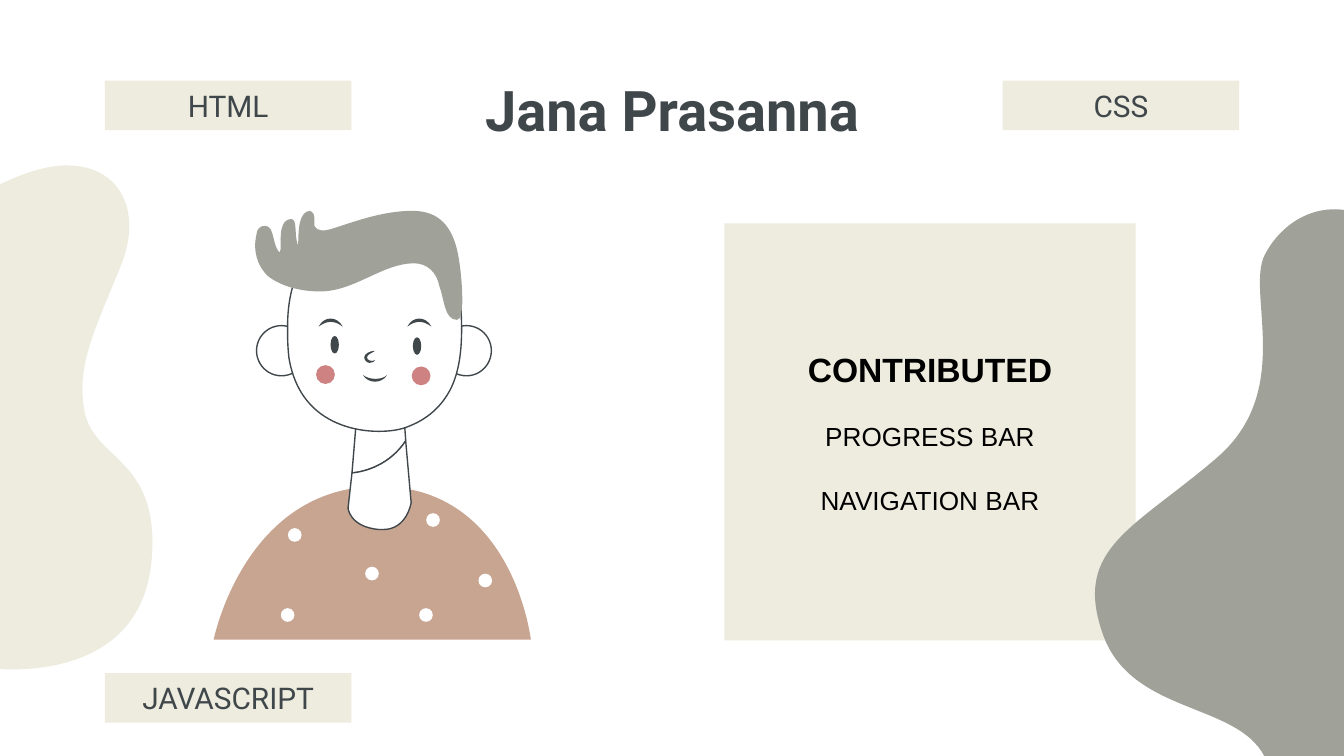
from dataclasses import dataclass
from typing import Optional

from pptx import Presentation
from pptx import util as u
from pptx.dml.color import RGBColor
from pptx.enum import shapes, text
from pptx.oxml import ns, xmlchemy

COLORS = {
    "ink": "40474B",
    "black": "000000",
    "white": "FFFFFF",
    "cream": "EDECDF",
    "sage": "A0A299",
    "clay": "C8A591",
    "blush": "CE8282",
}
OUTLINE_WIDTH = 0.75
INSET = 7.2


@dataclass(frozen=True)
class Line:
    words: str
    size: float
    font: str = "Roboto"
    color: str = "ink"
    bold: bool = False
    space_before: float = 0


@dataclass(frozen=True)
class Box:
    left: float
    top: float
    width: float
    height: float
    lines: tuple[Line, ...]
    fill: Optional[str] = "cream"


@dataclass(frozen=True)
class Ovals:
    width: float
    height: float
    fill: str
    centers: tuple[tuple[float, float], ...]
    outlined: bool = False


@dataclass(frozen=True)
class Outline:
    fill: str
    start: tuple[float, float]
    segments: tuple[tuple[float, ...], ...]
    outlined: bool = False


def rgb(name: str) -> RGBColor:
    return RGBColor.from_string(COLORS[name])


def paint(shape, fill: str, outlined: bool = False) -> None:
    shape.shadow.inherit = False
    shape.fill.solid()
    shape.fill.fore_color.rgb = rgb(fill)
    if outlined:
        shape.line.color.rgb = rgb("ink")
        shape.line.width = u.Pt(OUTLINE_WIDTH)
    else:
        shape.line.fill.background()


def bend_segments(shape, segments: tuple[tuple[float, ...], ...]) -> None:
    geometry = shape.element.find(".//" + ns.qn("a:path"))
    straight = iter(geometry.findall(ns.qn("a:lnTo")))
    for segment in segments:
        group = [next(straight) for _ in range(len(segment) // 2)]
        if len(group) == 3:
            curve = xmlchemy.OxmlElement("a:cubicBezTo")
            group[0].addprevious(curve)
            for line in group:
                curve.append(line[0])
                geometry.remove(line)


def draw_outline(slide, outline: Outline, shift: float = 0) -> None:
    numbers = outline.start + tuple(value for segment in outline.segments for value in segment)
    points = [(u.Pt(x + shift), u.Pt(y)) for x, y in zip(numbers[::2], numbers[1::2])]
    builder = slide.shapes.build_freeform(*points[0], scale=1.0)
    builder.add_line_segments(points[1:], close=True)
    shape = builder.convert_to_shape()
    bend_segments(shape, outline.segments)
    paint(shape, outline.fill, outline.outlined)


def draw_ovals(slide, ovals: Ovals) -> None:
    for x, y in ovals.centers:
        shape = slide.shapes.add_shape(
            shapes.MSO_SHAPE.OVAL, u.Pt(x - ovals.width / 2), u.Pt(y - ovals.height / 2),
            u.Pt(ovals.width), u.Pt(ovals.height))
        paint(shape, ovals.fill, ovals.outlined)


def draw_box(slide, box: Box) -> None:
    place = [u.Pt(value) for value in (box.left, box.top, box.width, box.height)]
    if box.fill:
        shape = slide.shapes.add_shape(shapes.MSO_SHAPE.RECTANGLE, *place)
        paint(shape, box.fill)
    else:
        shape = slide.shapes.add_textbox(*place)
    frame = shape.text_frame
    frame.word_wrap = True
    frame.vertical_anchor = text.MSO_ANCHOR.MIDDLE if box.fill else text.MSO_ANCHOR.BOTTOM
    frame.margin_left = frame.margin_right = u.Pt(INSET)
    frame.margin_top = frame.margin_bottom = u.Pt(INSET)
    for index, line in enumerate(box.lines):
        paragraph = frame.add_paragraph() if index else frame.paragraphs[0]
        paragraph.alignment = text.PP_ALIGN.CENTER
        paragraph.space_before = u.Pt(line.space_before)
        run = paragraph.add_run()
        run.text = line.words
        run.font.size = u.Pt(line.size)
        run.font.name = line.font
        run.font.bold = line.bold
        run.font.color.rgb = rgb(line.color)


SWEATER = Outline("clay", (203, 260.6), (
    (131, 260.6, 114.5, 342.7, 114.5, 342.7), (284.4, 342.7),
    (284.4, 342.7, 275, 260.6, 203, 260.6)))
UPPER_NECK = Outline("white", (215.3, 206.6), (
    (192.2, 210.2), (188.6, 253.4), (195.8, 252.7, 208.8, 249.1, 217.4, 236.2)), True)
FACE = Outline("white", (203.8, 118.8), (
    (194.4, 118.8, 154.1, 122.4, 154.1, 175), (154.1, 182.2, 154.1, 184.3, 154.8, 191.5),
    (157, 205.2, 163.4, 217.4, 176.4, 224.6), (184.3, 229, 193.7, 231.1, 203, 231.1),
    (208.8, 231.1, 214.6, 230.4, 219.6, 228.2), (230.4, 223.9, 238.3, 216, 242.6, 205.9),
    (247.7, 193.7, 247.7, 178.6, 247, 165.6), (244.8, 119.5, 208.1, 118.8, 205.9, 118.8)), True)
LOWER_NECK = Outline("white", (217.4, 236.2), (
    (208.8, 249.1, 195.8, 252.7, 188.6, 253.4), (186.5, 272.2),
    (186.5, 272.2, 187.2, 282.2, 203, 283.7), (205.2, 283.7),
    (218.2, 283.7, 220.3, 269.3, 220.3, 269.3)), True)
NOSE = Outline("ink", (200.9, 187.9), (
    (198, 187.9, 195.1, 189.7, 195.1, 191.5),
    (195.1, 192.9, 196.6, 194.4, 198, 194.4), (199.4, 194.4, 200.9, 193.7, 200.9, 193),
    (199, 193.9, 196.6, 193, 196.6, 191.5), (196.6, 189.8, 199.4, 189.2, 200.9, 187.9)))
MOUTH = Outline("ink", (207.4, 200.9), (
    (204.5, 203.7, 198, 203.7, 194.4, 200.9), (197.3, 205.7, 204.5, 205.7, 207.4, 200.9)))
BROW = Outline("ink", (218.2, 175), (
    (221, 169.2, 228.2, 169.2, 231.1, 175), (226.8, 171.6, 222.5, 171.6, 218.2, 175)))
CREAM_BLOB = Outline("cream", (6.5, 358.6), (
    (32.4, 358.6, 77.8, 350.6, 81.4, 298.1), (85, 245.5, 51.1, 247, 45.4, 221),
    (40.3, 195.1, 51.8, 175, 65.5, 140.4), (78.5, 105.8, 56.9, 79.9, 18.7, 91.4),
    (-20.2, 103, -73.4, 145.4, -69.1, 185.8), (-65.5, 226.1, -64.1, 275, -65.5, 304.6),
    (-67, 334.1, -20.2, 359.3, 6.5, 358.6)))
SAGE_BLOB = Outline("sage", (677.5, 136.8), (
    (667.4, 157, 694.1, 210.2, 650.9, 246.2), (607.7, 283, 575.3, 293.8, 590.4, 338.4),
    (604.8, 383, 662.4, 375.8, 677.5, 405.4), (692.6, 434.2, 780.5, 483.1, 797, 378),
    (812.9, 272.2, 789.8, 164.2, 753.8, 130.3), (717.1, 96.5, 687.6, 116.6, 677.5, 136.8)))
HAIR = Outline("sage", (221, 113), (
    (206, 113, 192, 118, 178.6, 122.4), (174, 123.8, 170.5, 124.5, 168.5, 121),
    (168, 118, 169.5, 114.5, 166.3, 113), (160, 113, 159.8, 124, 159.8, 131.8),
    (157.5, 127, 159.5, 117.4, 156.2, 117.4), (151.5, 117.4, 150.5, 123, 150.5, 126),
    (149.8, 128.9, 151.2, 133.2, 149.8, 135.4), (145.5, 131, 147.5, 121, 141.8, 121),
    (139.5, 121, 137.5, 123, 137.5, 125.3), (135.4, 133.9, 137.5, 142.6, 144, 148.3),
    (151, 153.5, 161, 156.2, 171.4, 156.2), (190, 156.2, 205, 141.1, 221.8, 141.1),
    (229, 141.1, 234, 146, 235.4, 153.4), (238, 160, 238, 171.4, 244.8, 171.4),
    (247.7, 171.4, 247, 164.9, 247.7, 162.7), (247.7, 154.1, 247, 145.4, 245.5, 136.8),
    (242.5, 121, 235, 113, 221, 113)))

EARS = Ovals(26.7, 26.9, "white", ((150.8, 187.9), (249.9, 187.9)), True)
EYES = Ovals(4.5, 9.4, "ink", ((179.3, 184.7), (223.4, 185.4)))
CHEEKS = Ovals(10.1, 10.1, "blush", ((174.4, 200.7), (225.6, 201.4)))
DOTS = Ovals(7.3, 7.3, "white", (
    (154.1, 329.5), (157.9, 286.6), (228.2, 329.5), (199.3, 307.3), (232, 278.6), (260, 311)))

TITLE = Box(56.2, 41, 607.7, 42.5, (Line("Jana Prasanna", 30, bold=True),), None)
HTML = Box(56.2, 43.2, 132.1, 26.6, (Line("HTML", 16),))
CSS = Box(537.2, 43.2, 126.7, 26.6, (Line("CSS", 16),))
JAVASCRIPT = Box(56.2, 360.6, 132.1, 26.6, (Line("JAVASCRIPT", 16),))
CONTRIBUTIONS = Box(388.1, 119.7, 220.3, 223.4, (
    Line("CONTRIBUTED", 18, "Arial", "black", True),
    Line("PROGRESS BAR", 14, "Arial", "black", space_before=17),
    Line("NAVIGATION BAR", 14, "Arial", "black", space_before=17)))


def main() -> None:
    presentation = Presentation()
    presentation.slide_width, presentation.slide_height = u.Pt(720), u.Pt(405)
    slide = presentation.slides.add_slide(presentation.slide_layouts[6])
    draw_outline(slide, SWEATER)
    draw_ovals(slide, EARS)
    for outline in (UPPER_NECK, FACE, LOWER_NECK, NOSE, MOUTH):
        draw_outline(slide, outline)
    for shift in (0, -47.5):
        draw_outline(slide, BROW, shift)
    for ovals in (EYES, CHEEKS, DOTS):
        draw_ovals(slide, ovals)
    for box in (TITLE, HTML, CSS, CONTRIBUTIONS):
        draw_box(slide, box)
    for outline in (CREAM_BLOB, SAGE_BLOB, HAIR):
        draw_outline(slide, outline)
    draw_box(slide, JAVASCRIPT)
    presentation.save("out.pptx")


if __name__ == "__main__":
    main()
